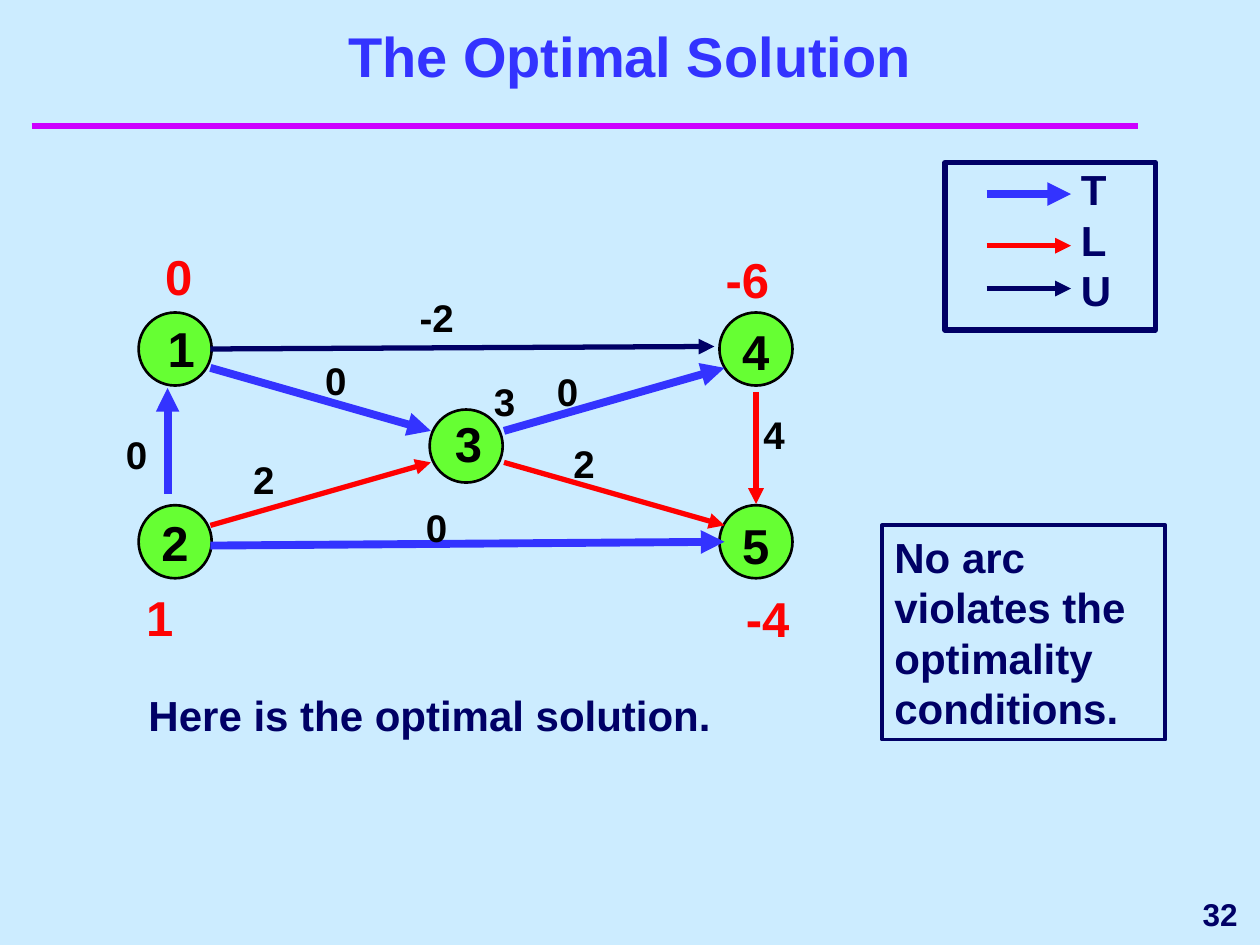
from pptx import Presentation
from pptx import util as u
from pptx.dml.color import RGBColor
from pptx.enum import shapes, text
from pptx.oxml.ns import qn
from lxml import etree

NAVY, BLUE, RED = "000066", "3333FF", "FF0000"
BLACK, GREEN, PRICE = "000000", "66FF33", "FD0303"
THIN, THICK = 3, 4.5
LEFT, MID, RIGHT = text.PP_ALIGN.LEFT, text.PP_ALIGN.CENTER, text.PP_ALIGN.RIGHT
TOP = text.MSO_ANCHOR.TOP
OVAL, RECT = shapes.MSO_SHAPE.OVAL, shapes.MSO_SHAPE.RECTANGLE


def color(code):
    return RGBColor.from_string(code)


class Board:
    font = "Arial"

    def __init__(self, slide, back):
        self.slide = slide
        slide.background.fill.solid()
        slide.background.fill.fore_color.rgb = color(back)

    def letter(self, shape, lines, size, ink, align=LEFT, anchor=TOP, pad=True, wrap=True):
        frame = shape.text_frame
        frame.word_wrap = wrap
        frame.vertical_anchor = anchor
        frame.margin_left = frame.margin_right = u.Inches(0.1 if pad else 0)
        frame.margin_top = frame.margin_bottom = u.Inches(0.05 if pad else 0)
        for i, line in enumerate(lines):
            para = frame.add_paragraph() if i else frame.paragraphs[0]
            para.alignment = align
            run = para.add_run()
            run.text = line
            run.font.name = self.font
            run.font.size = u.Pt(size)
            run.font.bold = True
            run.font.color.rgb = color(ink)

    def label(self, area, lines, size, ink, **style):
        box = self.slide.shapes.add_textbox(*map(u.Inches, area))
        self.letter(box, lines, size, ink, **style)

    def mark(self, x, y, word, size=22, ink=BLACK):
        area = (x, y, len(word) * size / 130, size / 60)
        self.label(area, [word], size, ink, pad=False, wrap=False)

    def shape(self, kind, area, line, width, fill=None):
        item = self.slide.shapes.add_shape(kind, *map(u.Inches, area))
        item.shadow.inherit = False
        if fill:
            item.fill.solid()
            item.fill.fore_color.rgb = color(fill)
        else:
            item.fill.background()
        item.line.color.rgb = color(line)
        item.line.width = u.Pt(width)
        return item

    def line(self, ends, ink, width, head=True):
        item = self.slide.shapes.add_connector(
            shapes.MSO_CONNECTOR.STRAIGHT, *map(u.Inches, ends))
        item.line.color.rgb = color(ink)
        item.line.width = u.Pt(width)
        props = item.element.spPr
        if head:
            etree.SubElement(props.find(qn("a:ln")), qn("a:tailEnd"), type="triangle")
        etree.SubElement(props, qn("a:effectLst"))


def main():
    deck = Presentation()
    deck.slide_width, deck.slide_height = u.Inches(10), u.Inches(7.5)
    board = Board(deck.slides.add_slide(deck.slide_layouts[6]), "CCECFF")

    # Title and rule
    board.line((0.25, 1, 9.03, 1), "CC00FF", 4, head=False)
    board.label((0, 0.33, 10, 0.42), ["The Optimal Solution"], 32, BLUE,
                align=MID, anchor=text.MSO_ANCHOR.BOTTOM)

    # Nodes: circle corner, then number corner
    nodes = [
        ("1", 1.1, 2.48, 1.33, 2.53),
        ("2", 1.1, 4.01, 1.28, 4.07),
        ("5", 5.71, 4.01, 5.89, 4.09),
        ("3", 3.41, 3.25, 3.61, 3.28),
        ("4", 5.71, 2.48, 5.89, 2.55),
    ]
    for name, x, y, *spot in nodes:
        board.shape(OVAL, (x, y, 0.58, 0.58), BLACK, 1.5, GREEN)

    # Arcs
    arcs = [
        ((1.67, 2.77, 5.67, 2.75), NAVY, THIN),
        ((1.33, 3.92, 1.33, 3.08), BLUE, THICK),
        ((1.67, 4.33, 5.75, 4.3), BLUE, THICK),
        ((6, 3.11, 6, 4), RED, THIN),
        ((4, 3.67, 5.75, 4.17), RED, THIN),
        ((1.67, 2.92, 3.42, 3.42), BLUE, THICK),
        ((1.67, 4.17, 3.42, 3.67), RED, THIN),
        ((4, 3.42, 5.75, 2.92), BLUE, THICK),
    ]
    for arc in arcs:
        board.line(*arc)

    # Node numbers, node prices and arc costs
    for name, x, y, *spot in nodes:
        board.mark(*spot, name, 28)
    for x, y, price in [(1.31, 1.96, "0"), (5.76, 1.98, "-6"),
                        (1.16, 4.66, "1"), (5.92, 4.67, "-4")]:
        board.mark(x, y, price, 28, PRICE)
    for x, y, cost in [(3.33, 2.33, "-2"), (6.06, 3.26, "4"), (4.55, 3.49, "2"),
                       (3.38, 4, "0"), (2.01, 3.62, "2"), (1, 3.42, "0"),
                       (2.58, 2.83, "0"), (4.42, 2.92, "0"), (3.92, 3, "3")]:
        board.mark(x, y, cost)

    # Legend
    board.shape(RECT, (7.5, 1.29, 1.67, 1.33), NAVY, 3)
    for y, ink, width in [(1.54, BLUE, THICK), (1.95, RED, THIN), (2.29, NAVY, THIN)]:
        board.line((7.83, y, 8.5, y), ink, width)
    board.label((8.48, 1.25, 0.44, 1.3), ["T", "L", "U"], 24, NAVY, wrap=False)

    # Remarks and page number
    board.label((1.08, 5.42, 4.92, 0.5), ["Here is the optimal solution."], 24, NAVY)
    note = board.shape(RECT, (7, 4.17, 2.25, 1.7), NAVY, 2.25)
    board.letter(note, ["No arc violates the optimality conditions."], 24, NAVY)
    board.label((8, 7, 1.92, 0.5), ["32"], 18, NAVY,
                align=RIGHT, anchor=text.MSO_ANCHOR.MIDDLE)

    deck.save("out.pptx")


if __name__ == "__main__":
    main()
